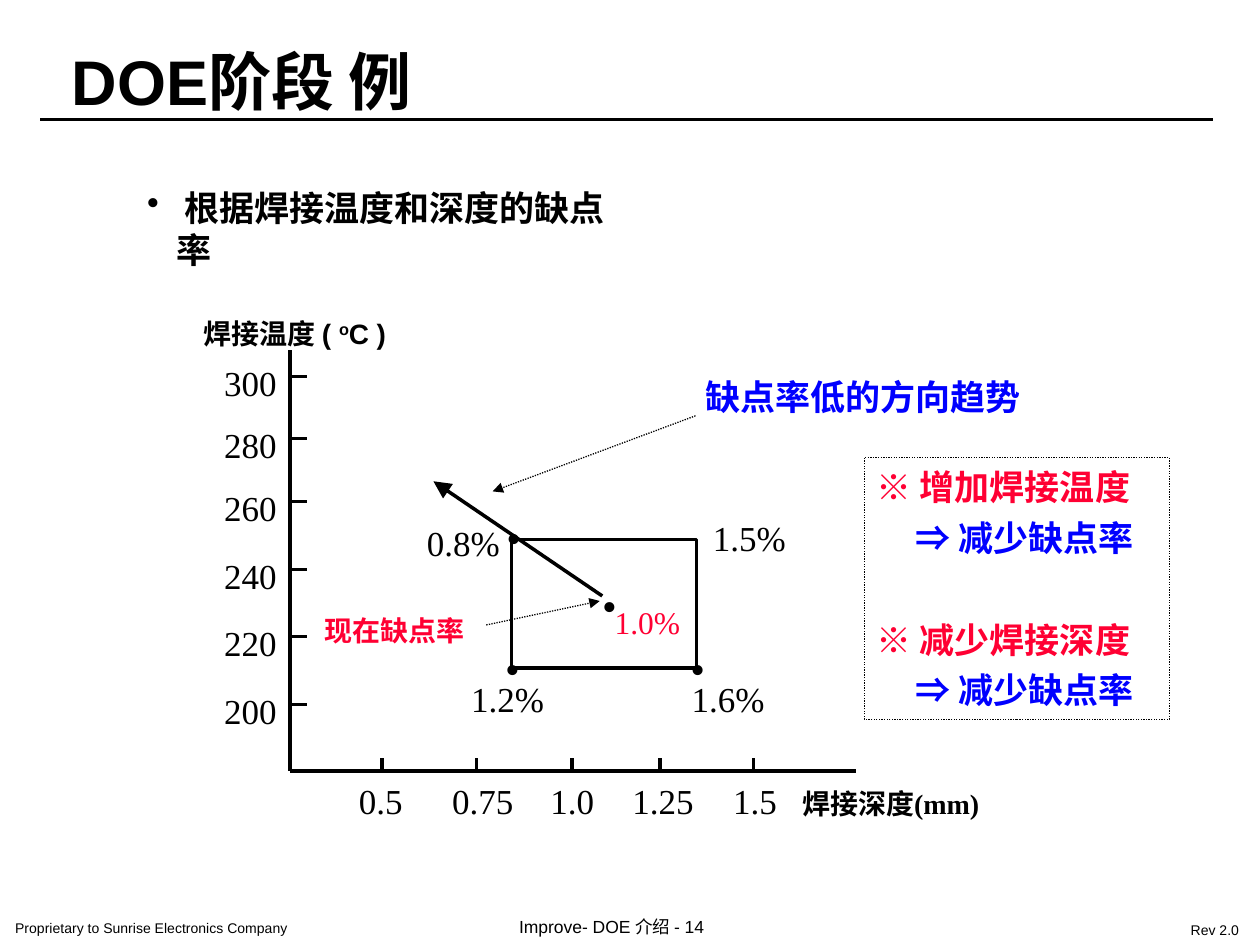
"""Build the DOE example slide: defect rate by welding temperature and depth."""
from lxml import etree
from pptx import Presentation
from pptx.dml.color import RGBColor
from pptx.enum.dml import MSO_LINE
from pptx.enum.shapes import MSO_CONNECTOR, MSO_SHAPE
from pptx.enum.text import MSO_ANCHOR, MSO_AUTO_SIZE, PP_ALIGN
from pptx.oxml.ns import qn
from pptx.util import Pt

PX = 9144
RECT = MSO_SHAPE.RECTANGLE
STRAIGHT = MSO_CONNECTOR.STRAIGHT
DOTS = MSO_LINE.ROUND_DOT
GROW = MSO_AUTO_SIZE.SHAPE_TO_FIT_TEXT
LEFT = PP_ALIGN.LEFT
MIDDLE = MSO_ANCHOR.MIDDLE
SANS, SERIF = "Arial", "Times New Roman"
HUE = {"black": "000000", "red": "FF0033", "blue": "0000FF"}


def label(box, words, size=20, face=SERIF, hue="black", bold=False, wrap=False, pad=(10, 5), mark=None):
    frame = slide.shapes.add_textbox(*[n * PX for n in box]).text_frame
    frame.word_wrap = wrap
    frame.auto_size = GROW
    frame.margin_left = frame.margin_right = pad[0] * PX
    frame.margin_top = frame.margin_bottom = pad[1] * PX
    para = frame.paragraphs[0]
    for word in words if isinstance(words, list) else [words]:
        para.add_run().text = word
    if mark:
        props = para._p.get_or_add_pPr()
        props.set("marL", str(23 * PX))
        props.set("indent", str(-23 * PX))
        etree.SubElement(props, qn("a:buChar")).set("char", mark)
    para.font.size = Pt(size)
    para.font.name = face
    para.font.bold = bold
    para.font.color.rgb = RGBColor.from_string(HUE[hue])
    return para


def line(x1, y1, x2, y2, width=2, dash=None, head=None):
    link = slide.shapes.add_connector(STRAIGHT, x1 * PX, y1 * PX, x2 * PX, y2 * PX)
    link.line.color.rgb = RGBColor.from_string(HUE["black"])
    link.line.width = Pt(width)
    if dash:
        link.line.dash_style = dash
    if head:
        tip = etree.SubElement(link.line._get_or_add_ln(), qn("a:tailEnd"))
        tip.set("type", "triangle")
        tip.set("w", head)
        tip.set("len", head)
    etree.SubElement(link._element.spPr, qn("a:effectLst"))


deck = Presentation()
deck.slide_width, deck.slide_height = 1000 * PX, 750 * PX
slide = deck.slides.add_slide(deck.slide_layouts[6])

label((0, 724, 321, 25), "Proprietary to Sunrise Electronics Company", 8, SANS, wrap=True, pad=(12, 6))
label((400, 721, 226, 29), "Improve- DOE 介绍 - 14", 10, SANS, pad=(12, 6))
label((933, 725, 63, 25), "Rev 2.0", 8, SANS, pad=(12, 6))
label((45, 28, 334, 72), "DOE阶段 例", 36, SANS, bold=True, pad=(12, 6))
line(32, 95, 963, 95, 1.5)
label((107, 143, 400, 44), " 根据焊接温度和深度的缺点率", bold=True, wrap=True, mark="•")

panel = slide.shapes.add_shape(RECT, 686 * PX, 363 * PX, 242 * PX, 208 * PX)
panel.shadow.inherit = False
panel.fill.background()
panel.line.color.rgb = RGBColor.from_string(HUE["black"])
panel.line.width = Pt(0.75)
panel.line.dash_style = DOTS
frame = panel.text_frame
frame.word_wrap = True
frame.vertical_anchor = MIDDLE
notes = [("※ 增加焊接温度", "red", 0, 0), ("⇒ 减少缺点率", "blue", 31, 5),
         ("※ 减少焊接深度", "red", 0, 34), ("⇒ 减少缺点率", "blue", 31, 5)]
for i, (words, hue, inset, gap) in enumerate(notes):
    para = frame.add_paragraph() if i else frame.paragraphs[0]
    para.add_run().text = words
    para.alignment = LEFT
    para._p.get_or_add_pPr().set("marL", str(inset * PX))
    para.space_before = Pt(gap)
    para.font.size = Pt(20)
    para.font.name = SANS
    para.font.bold = True
    para.font.color.rgb = RGBColor.from_string(HUE[hue])

title = label((152, 246, 176, 37), ["焊接温度 ( ", "o", "C )"], 16, SANS, bold=True)
title.runs[1]._r.get_or_add_rPr().set("baseline", "30000")
label((627, 619, 175, 37), "焊接深度(mm)", 16, bold=True)
line(230, 278, 230, 612)
line(679, 612, 230, 612)
for x, left, wide, words in [(303, 275, 58, "0.5"), (378, 349, 72, "0.75"), (454, 427, 58, "1.0"),
                             (524, 492, 72, "1.25"), (598, 572, 58, "1.5")]:
    line(x, 602, x, 612)
    label((left, 614, wide, 44), words)
for i, y in enumerate([299, 348, 398, 452, 505, 559]):
    line(230, y, 244, y)
    label((168, y - 17, 65, 44), str(300 - 20 * i))

region = slide.shapes.add_shape(RECT, 406 * PX, 428 * PX, 147 * PX, 102 * PX)
region.shadow.inherit = False
region.fill.background()
region.line.color.rgb = RGBColor.from_string(HUE["black"])
region.line.width = Pt(2)
for x, y, words in [(364, 533, "1.2%"), (539, 533, "1.6%"), (329, 409, "0.8%"), (556, 405, "1.5%")]:
    label((x, y, 80, 44), words)
for x, y in [(391, 505), (538, 505), (468, 455)]:
    label((x, y, 31, 50), "•", 24)
label((392, 412, 31, 38), "•", 24).line_spacing = 0.7
label((478, 474, 74, 40), "1.0%", 18, hue="red")

line(478, 473, 344, 382, head="lg")
line(552, 330, 391, 390, 0.75, DOTS, "med")
line(386, 496, 476, 477, 0.75, DOTS, "med")
label((550, 293, 285, 44), "缺点率低的方向趋势", hue="blue", bold=True)
label((248, 482, 134, 37), "现在缺点率", 16, hue="red", bold=True)

deck.save("out.pptx")
